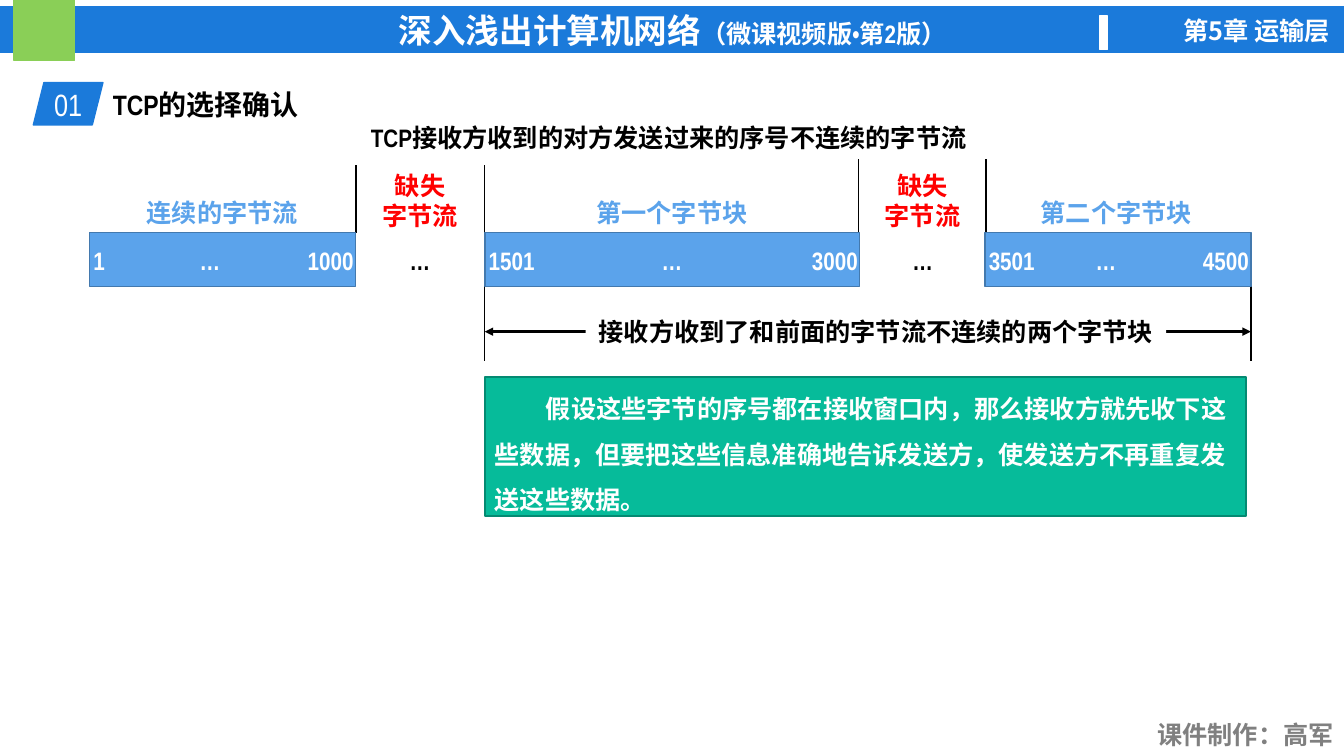
"""Build the slide on selective acknowledgement in TCP."""
from lxml import etree
from pptx import Presentation
from pptx.dml.color import RGBColor
from pptx.enum.lang import MSO_LANGUAGE_ID
from pptx.enum.shapes import MSO_CONNECTOR, MSO_SHAPE
from pptx.enum.text import MSO_ANCHOR, MSO_AUTO_SIZE, PP_ALIGN
from pptx.oxml.ns import qn
from pptx.util import Pt

WHITE = RGBColor(0xFF, 0xFF, 0xFF)
BLACK = RGBColor(0, 0, 0)
RED = RGBColor(0xFF, 0, 0)
GREY = RGBColor(0x80, 0x80, 0x80)
BLUE = RGBColor(0x1B, 0x7A, 0xDA)
SKY = RGBColor(0x5B, 0xA3, 0xEB)
STEEL = RGBColor(0x43, 0x79, 0xAE)
LIME = RGBColor(0x8A, 0xCF, 0x57)
TEAL = RGBColor(0x06, 0xBB, 0x9A)
PINE = RGBColor(0x04, 0x8A, 0x72)

LEFT, MID, RIGHT = PP_ALIGN.LEFT, PP_ALIGN.CENTER, PP_ALIGN.RIGHT
TOP, CENTER = MSO_ANCHOR.TOP, MSO_ANCHOR.MIDDLE
RECT, SLANT = MSO_SHAPE.RECTANGLE, MSO_SHAPE.PARALLELOGRAM
STRAIGHT = MSO_CONNECTOR.STRAIGHT
FIXED = MSO_AUTO_SIZE.NONE
CHINESE = MSO_LANGUAGE_ID.SIMPLIFIED_CHINESE
NARROW, SANS = "Arial Narrow", "Noto Sans CJK SC"

ROW, TALL = 166.3, 38.2
BASE = ROW + TALL
START, END = 346.3, 893.5


def add_run(para, text, size, color, bold, face):
    """Add a run set in one face for Latin and Chinese."""
    run = para.add_run()
    run.text = text
    font = run.font
    font.size, font.bold, font.name = Pt(size), bold, face
    font.color.rgb = color
    font.language_id = CHINESE
    latin = run._r.rPr.find(qn("a:latin"))
    east = etree.Element(qn("a:ea"), typeface=face)
    latin.addnext(east)


def write(shape, text, size=18, color=BLACK, bold=True, face=NARROW,
          align=MID, anchor=TOP, wrap=True, space=None, indent=0, tail=None):
    """Fill a shape with text, one paragraph for each line."""
    frame = shape.text_frame
    frame.auto_size = FIXED
    frame.word_wrap = wrap
    frame.vertical_anchor = anchor
    for index, line in enumerate(text.split("\n")):
        para = frame.add_paragraph() if index else frame.paragraphs[0]
        para.alignment = align
        if space:
            para.line_spacing = space
        if indent:
            para._p.get_or_add_pPr().set("indent", str(Pt(indent)))
        add_run(para, line, size, color, bold, face)
        if tail:
            add_run(para, tail, 18, color, bold, face)


def label(slide, box, text, **form):
    """Add a text box at left, top, width, height."""
    shape = slide.shapes.add_textbox(*map(Pt, box))
    write(shape, text, **form)


def panel(slide, box, fill, edge=None, kind=RECT):
    """Add a filled shape and return it."""
    shape = slide.shapes.add_shape(kind, *map(Pt, box))
    shape.shadow.inherit = False
    shape.fill.solid()
    shape.fill.fore_color.rgb = fill
    if edge is None:
        shape.line.fill.background()
    else:
        shape.line.color.rgb = edge
        shape.line.width = Pt(1)
    return shape


def rule(slide, ends, width=1, arrows=False):
    """Draw a straight black line, with arrowheads if asked."""
    line = slide.shapes.add_connector(STRAIGHT, *map(Pt, ends))
    line.line.color.rgb = BLACK
    line.line.width = Pt(width)
    if arrows:
        stroke = line.line._get_or_add_ln()
        for tag in ("a:headEnd", "a:tailEnd"):
            etree.SubElement(stroke, qn(tag), type="triangle")
    etree.SubElement(line._element.spPr, qn("a:effectLst"))


def dots(slide, mid, color):
    """Put an ellipsis in the byte row, centred on mid."""
    label(slide, (mid - 19, 171.4, 38, 28.8), "…", color=color)


def block(slide, left, width, first, last, dot, name, mid):
    """Draw a run of bytes with its end numbers and name."""
    panel(slide, (left, ROW, width, TALL), SKY, STEEL)
    label(slide, (left - 4.3, 171.4, 57, 28.8), first, color=WHITE, align=LEFT)
    label(slide, (left + width - 51.3, 171.4, 57, 28.8), last,
          color=WHITE, align=RIGHT)
    dots(slide, dot, WHITE)
    label(slide, (mid - 63, 137.5, 126, 28.8), name, color=SKY)


def gap(slide, left, right, top, mid):
    """Mark missing bytes between two upright lines."""
    for side in (left, right):
        rule(slide, (side, ROW, side, top))
    label(slide, (mid - 34.6, 118, 69.2, 51), "缺失\n字节流", color=RED)
    dots(slide, mid, BLACK)


def banner(slide):
    """Draw the top bar, its marks and the credit."""
    bar = panel(slide, (0, 5, 961, 32.4), BLUE, BLUE)
    write(bar, "深入浅出计算机网络", size=24, color=WHITE, anchor=CENTER,
          tail="（微课视频版•第2版）")
    panel(slide, (10.1, 0, 43.2, 43.2), LIME, LIME)
    panel(slide, (785.5, 11.5, 5.8, 23.8), WHITE, WHITE)
    label(slide, (800, 7.2, 157, 28.8), "第5章 运输层",
          color=WHITE, face=SANS, align=RIGHT)
    label(slide, (816.5, 510.5, 143.3, 28.8), "课件制作：高军",
          color=GREY, align=RIGHT)


def heading(slide):
    """Set the title and its number."""
    title = slide.shapes.title
    title.left, title.top, title.width, title.height = map(
        Pt, (73.4, 59, 437.8, 31.7))
    write(title, "TCP的选择确认", size=20, align=LEFT)
    badge = panel(slide, (23.8, 59, 49.7, 30.2), BLUE, BLUE, SLANT)
    write(badge, "01", size=22, color=WHITE, bold=False, anchor=CENTER,
          wrap=False)


def span(slide):
    """Measure the two blocks that arrived out of order."""
    for side in (START, END):
        rule(slide, (side, 257.8, side, BASE))
    rule(slide, (START, 236.9, END, 236.9), 2, True)
    plate = panel(slide, (418.3, 222.5, 414.7, 28.8), WHITE)
    write(plate, "接收方收到了和前面的字节流不连续的两个字节块", wrap=False)


def main():
    """Build and save the slide."""
    deck = Presentation()
    deck.slide_width, deck.slide_height = Pt(960), Pt(540)
    slide = deck.slides.add_slide(deck.slide_layouts[5])
    banner(slide)
    heading(slide)
    label(slide, (257.8, 83.5, 444.2, 28.8),
          "TCP接收方收到的对方发送过来的序号不连续的字节流",
          align=LEFT, wrap=False)
    span(slide)
    gap(slide, 254.2, START, 118, 300)
    gap(slide, 613.4, 704.2, 113.8, 659)
    block(slide, 64, 190, "1", "1000", 150, "连续的字节流", 158.8)
    block(slide, START, 267.8, "1501", "3000", 480, "第一个字节块", 479.9)
    block(slide, 703.5, 190, "3501", "4500", 790, "第二个字节块", 797.4)
    note = panel(slide, (START, 269.3, 543.6, 99.4), TEAL, PINE)
    write(note, "假设这些字节的序号都在接收窗口内，那么接收方就先收下这些数据，"
          "但要把这些信息准确地告诉发送方，使发送方不再重复发送这些数据。",
          color=WHITE, align=LEFT, anchor=CENTER, space=1.5, indent=36.5)
    deck.save("out.pptx")


if __name__ == "__main__":
    main()
